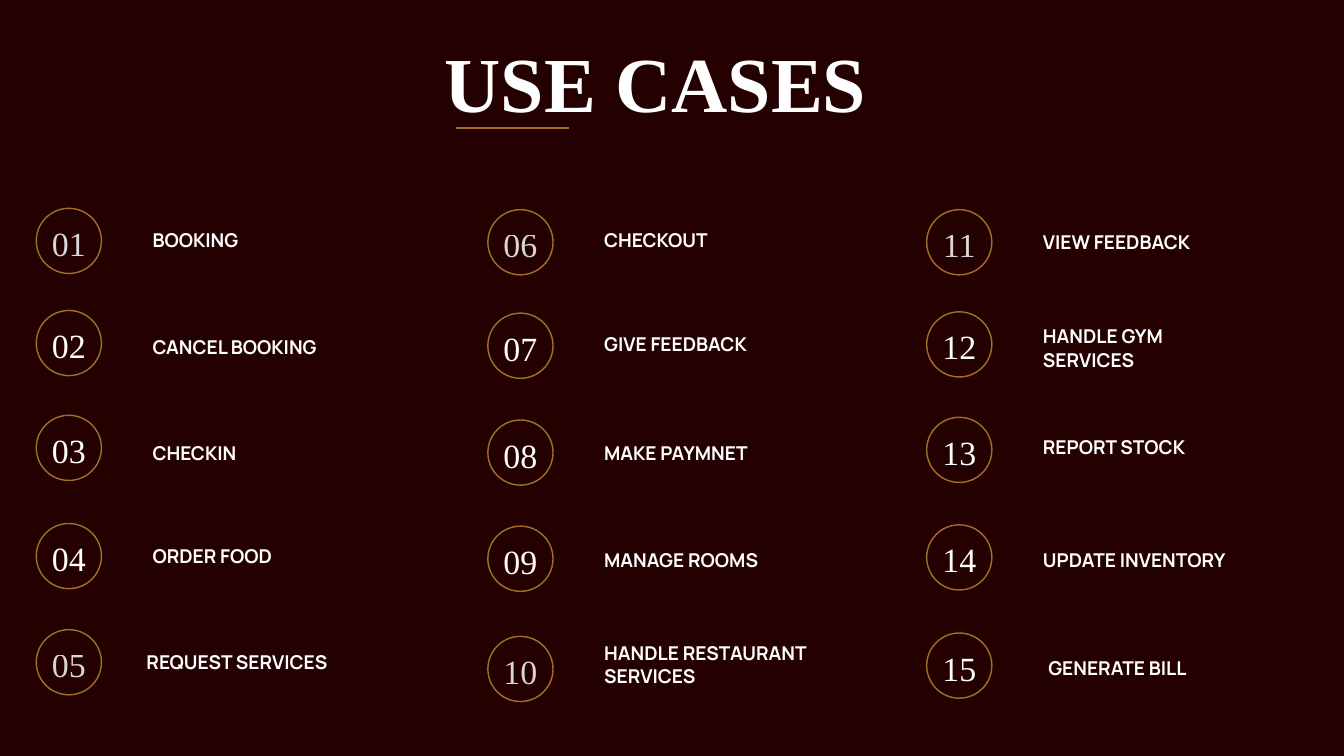
"""Build the use cases slide: fifteen numbered items in three columns."""
from lxml import etree
from pptx import Presentation
from pptx.dml.color import RGBColor
from pptx.enum.shapes import MSO_CONNECTOR, MSO_SHAPE
from pptx.enum.text import MSO_AUTO_SIZE, PP_ALIGN
from pptx.oxml.ns import qn
from pptx.util import Inches, Pt

OVAL = MSO_SHAPE.OVAL
STRAIGHT = MSO_CONNECTOR.STRAIGHT
LEFT, CENTER = PP_ALIGN.LEFT, PP_ALIGN.CENTER
NO_FIT = MSO_AUTO_SIZE.NONE

COLORS = {"bg": "240000", "gold": "A46F25", "white": "FFFFFF"}
FORMATS = {
    "title": {"size": Pt(83.4), "name": "Times New Roman", "bold": True},
    "number": {"size": Pt(36.3), "name": "Times New Roman", "bold": False},
    "label": {"size": Pt(20.4), "name": "Manrope", "bold": True},
}
PARAGRAPHS = {
    "title": {"alignment": CENTER, "line_spacing": Pt(91)},
    "number": {"alignment": CENTER, "line_spacing": Pt(50.8)},
    "label": {"alignment": LEFT, "line_spacing": Pt(24.9)},
}
CIRCLE = 0.97
FADED = {1, 5, 6, 10, 11}

# circle left, then label, circle top, label left, label top, label width
COLUMNS = [
    (0.54, [
        ("BOOKING", 3.1, 2.27, 3.39, 2.96),
        ("CANCEL BOOKING", 4.62, 2.27, 4.98, 3.5),
        ("CHECKIN", 6.18, 2.27, 6.57, 3.5),
        ("ORDER FOOD", 7.79, 2.27, 8.09, 2.96),
        ("REQUEST SERVICES", 9.37, 2.18, 9.68, 2.96),
    ]),
    (7.26, [
        ("CHECKOUT", 3.12, 8.99, 3.4, 2.96),
        ("GIVE FEEDBACK", 4.66, 8.99, 4.94, 3.5),
        ("MAKE PAYMNET", 6.25, 8.99, 6.57, 2.96),
        ("MANAGE ROOMS", 7.83, 8.99, 8.15, 2.96),
        ("HANDLE RESTAURANT SERVICES", 9.47, 8.99, 9.54, 4.08),
    ]),
    (13.79, [
        ("VIEW FEEDBACK", 3.12, 15.52, 3.42, 2.96),
        ("HANDLE GYM SERVICES", 4.64, 15.52, 4.83, 2.96),
        ("REPORT STOCK", 6.21, 15.52, 6.47, 2.96),
        ("UPDATE INVENTORY", 7.81, 15.52, 8.15, 2.96),
        ("GENERATE BILL", 9.42, 15.6, 9.77, 3.5),
    ]),
]


def add_text(s, text, kind, x, y, w, h):
    tf = s.shapes.add_textbox(Inches(x), Inches(y), Inches(w), Inches(h)).text_frame
    frame = {"margin_left": 0, "margin_top": 0, "margin_right": 0,
             "margin_bottom": 0, "word_wrap": True, "auto_size": NO_FIT}
    p = tf.paragraphs[0]
    r = p.add_run()
    r.text = text
    for target, values in ((tf, frame), (p, PARAGRAPHS[kind]), (r.font, FORMATS[kind])):
        for name, value in values.items():
            setattr(target, name, value)
    r.font.color.rgb = RGBColor.from_string(COLORS["white"])
    return r


prs = Presentation()
prs.slide_width, prs.slide_height = Inches(20), Inches(11.25)
s = prs.slides.add_slide(prs.slide_layouts[6])
s.background.fill.solid()
s.background.fill.fore_color.rgb = RGBColor.from_string(COLORS["bg"])

add_text(s, "USE CASES", "title", 5.13, 0.64, 9.25, 1.28)
rule = s.shapes.add_connector(STRAIGHT, Inches(6.78), Inches(1.91), Inches(8.46), Inches(1.91))
rule.line.color.rgb = RGBColor.from_string(COLORS["gold"])
rule.line.width = Pt(2.25)
etree.SubElement(rule._element.spPr, qn("a:effectLst"))

number = 0
for circle_x, items in COLUMNS:
    for label, circle_y, label_x, label_y, label_w in items:
        number += 1
        sp = s.shapes.add_shape(OVAL, Inches(circle_x), Inches(circle_y),
                                Inches(CIRCLE), Inches(CIRCLE))
        sp.shadow.inherit = False
        sp.fill.background()
        sp.line.color.rgb = RGBColor.from_string(COLORS["gold"])
        sp.line.width = Pt(1.5)

        r = add_text(s, f"{number:02d}", "number", circle_x, circle_y + 0.11, CIRCLE, 0.68)
        if number in FADED:
            color = r.font._element.find(".//" + qn("a:srgbClr"))
            etree.SubElement(color, qn("a:alpha"), val="83000")

        label_h = 0.7 if label.startswith("HANDLE") else 0.36
        add_text(s, label, "label", label_x, label_y, label_w, label_h)

prs.save("out.pptx")
